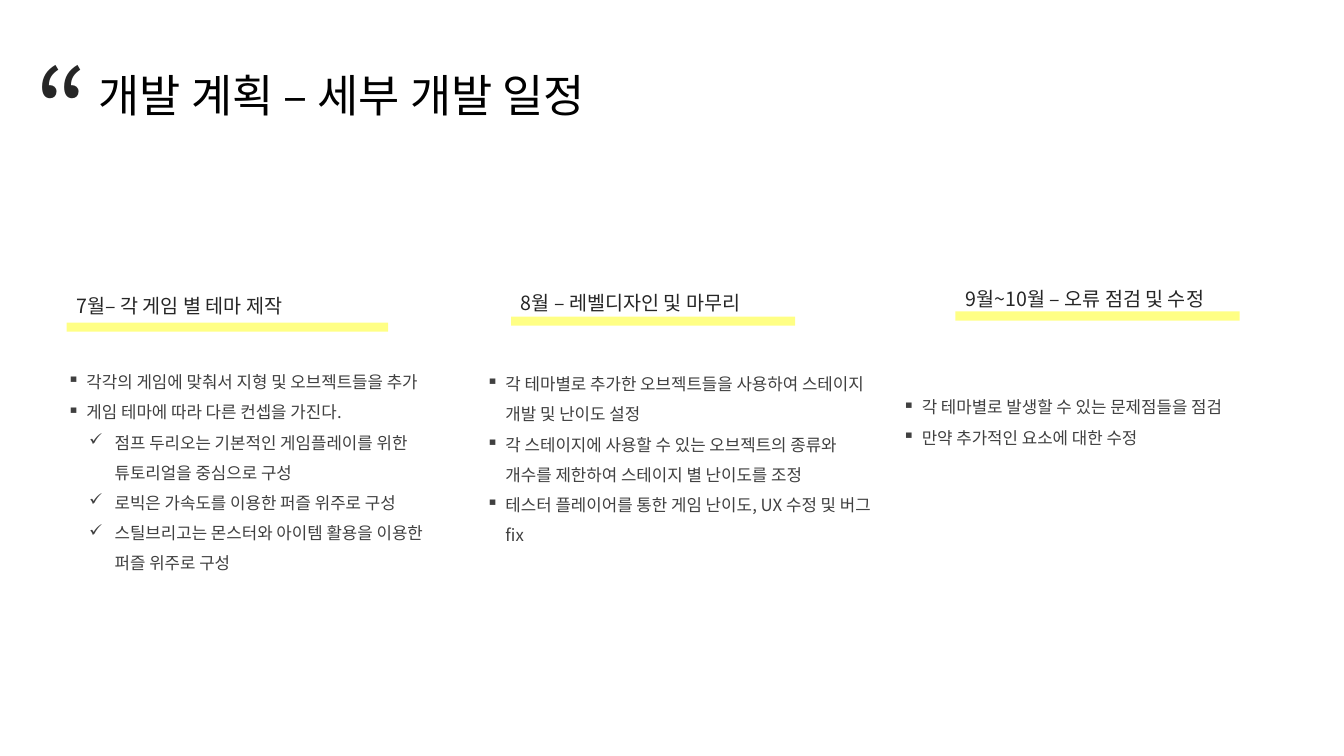
"""Build the detailed development schedule slide."""
from dataclasses import dataclass

from lxml.etree import SubElement
from pptx import Presentation
from pptx.dml.color import RGBColor
from pptx.enum.shapes import MSO_SHAPE as SHAPE
from pptx.enum.text import MSO_AUTO_SIZE as AUTO_SIZE
from pptx.oxml.ns import qn
from pptx.util import Cm, Pt


@dataclass(frozen=True)
class Theme:
    font: str = "Noto Sans CJK KR"
    black: str = "000000"
    dark: str = "262626"
    body: str = "404040"
    marker: str = "FFFF00"
    marker_alpha: int = 48000
    quote_size: int = 80
    title_size: int = 32
    heading_size: int = 14
    body_size: int = 12
    spacing: float = 1.5


@dataclass(frozen=True)
class Month:
    heading: str
    heading_at: tuple
    bar_top: float
    bar_width: float
    body_at: tuple
    body_height: float
    items: tuple


THEME = Theme()
BULLETS = (("▪", 0.48, 0.48), ("✓", 1.19, 0.64))
MONTHS = (
    Month("7월– 각 게임 별 테마 제작", (1.68, 6.99), 8.13, 8.1, (1.45, 8.99), 6.32, (
        (0, "각각의 게임에 맞춰서 지형 및 오브젝트들을 추가"),
        (0, "게임 테마에 따라 다른 컨셉을 가진다."),
        (1, "점프 두리오는 기본적인 게임플레이를 위한 튜토리얼을 중심으로 구성"),
        (1, "로빅은 가속도를 이용한 퍼즐 위주로 구성"),
        (1, "스틸브리고는 몬스터와 아이템 활용을 이용한 퍼즐 위주로 구성"),
    )),
    Month("8월 – 레벨디자인 및 마무리", (12.88, 6.91), 7.98, 7.16, (12.01, 9.04), 4.8, (
        (0, "각 테마별로 추가한 오브젝트들을 사용하여 스테이지 개발 및 난이도 설정"),
        (0, "각 스테이지에 사용할 수 있는 오브젝트의 종류와 개수를 제한하여 스테이지 별 난이도를 조정"),
        (0, "테스터 플레이어를 통한 게임 난이도, UX 수정 및 버그 fix"),
    )),
    Month("9월~10월 – 오류 점검 및 수정", (24.08, 6.81), 7.85, 7.16, (22.5, 9.63), 2.46, (
        (0, "각 테마별로 발생할 수 있는 문제점들을 점검"),
        (0, "만약 추가적인 요소에 대한 수정"),
    )),
)


def add_box(slide, left, top, width, height):
    sp = slide.shapes.add_textbox(Cm(left), Cm(top), Cm(width), Cm(height))
    tf = sp.text_frame
    tf.word_wrap = True
    tf.auto_size = AUTO_SIZE.SHAPE_TO_FIT_TEXT
    return tf


def add_run(p, text, size, color):
    r = p.add_run()
    r.text = text
    r.font.size = Pt(size)
    r.font.color.rgb = RGBColor.from_string(color)
    r.font.name = THEME.font
    SubElement(r.font._element, qn("a:ea"), typeface=THEME.font)


def add_line(slide, box, text, size, color, spacing=None):
    p = add_box(slide, *box).paragraphs[0]
    p.line_spacing = spacing
    add_run(p, text, size, color)


def set_bullet(p, level):
    char, margin, hanging = BULLETS[level]
    p.level = level
    pPr = p._p.get_or_add_pPr()
    pPr.set("marL", str(Cm(margin)))
    pPr.set("indent", str(-Cm(hanging)))
    SubElement(pPr, qn("a:buChar"), char=char)


def add_list(slide, box, items):
    tf = add_box(slide, *box)
    for i, (level, text) in enumerate(items):
        p = tf.add_paragraph() if i else tf.paragraphs[0]
        p.line_spacing = THEME.spacing
        set_bullet(p, level)
        add_run(p, text, THEME.body_size, THEME.body)


def add_marker(slide, left, top, width):
    sp = slide.shapes.add_shape(SHAPE.RECTANGLE, Cm(left), Cm(top), Cm(width), Cm(0.23))
    sp.shadow.inherit = False
    sp.line.fill.background()
    sp.fill.solid()
    sp.fill.fore_color.rgb = RGBColor.from_string(THEME.marker)
    color = sp._element.spPr.find(qn("a:solidFill"))[0]
    SubElement(color, qn("a:alpha"), val=str(THEME.marker_alpha))


def add_month(slide, month):
    add_list(slide, (*month.body_at, 10.31, month.body_height), month.items)
    add_marker(slide, month.heading_at[0], month.bar_top, month.bar_width)
    add_line(slide, (*month.heading_at, 8.1, 1.07), month.heading,
             THEME.heading_size, THEME.dark, THEME.spacing)


def main():
    prs = Presentation()
    prs.slide_width, prs.slide_height = Cm(33.87), Cm(19.05)
    slide = prs.slides.add_slide(prs.slide_layouts[6])
    add_line(slide, (2.24, 1.57, 16.71, 1.63), "개발 계획 – 세부 개발 일정",
             THEME.title_size, THEME.black)
    add_line(slide, (0.64, 0.89, 2.11, 3.68), "“", THEME.quote_size, THEME.dark)
    for month in MONTHS:
        add_month(slide, month)
    prs.save("out.pptx")


if __name__ == "__main__":
    main()
